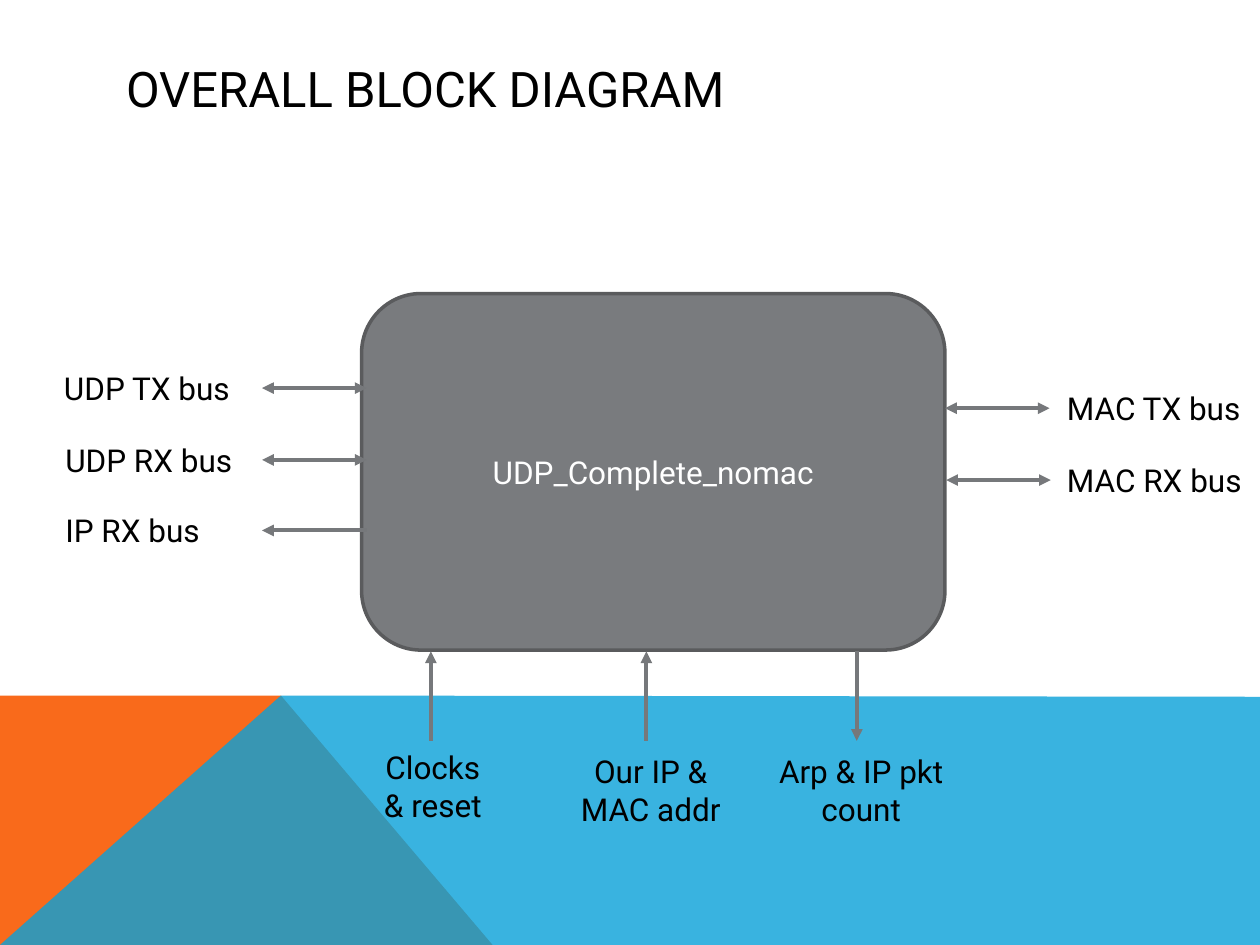
from lxml.etree import SubElement
from pptx import Presentation
from pptx.dml.color import RGBColor
from pptx.enum.shapes import MSO_CONNECTOR, MSO_SHAPE
from pptx.enum.text import MSO_ANCHOR, MSO_AUTO_SIZE, PP_ALIGN
from pptx.oxml.ns import qn
from pptx.util import Inches, Pt

BLACK = RGBColor(0x00, 0x00, 0x00)
WHITE = RGBColor(0xFF, 0xFF, 0xFF)
ORANGE = RGBColor(0xF9, 0x6A, 0x1B)
BLUE = RGBColor(0x08, 0xA1, 0xD9)
BLOCK_FILL = RGBColor(0x79, 0x7B, 0x7E)
BLOCK_LINE = RGBColor(0x5A, 0x5B, 0x5D)
ARROW_GRAY = RGBColor(0x76, 0x78, 0x7B)


class DiagramSlide:
    """Holds the text style and the slide being drawn."""

    font_name = "Roboto"
    font_size = 18

    def __init__(self, presentation):
        self.slide = presentation.slides.add_slide(presentation.slide_layouts[5])
        self.shapes = self.slide.shapes

    def set_text(self, shape, text, size=font_size, color=BLACK,
                 align=PP_ALIGN.LEFT, anchor=MSO_ANCHOR.TOP):
        frame = shape.text_frame
        frame.text = text
        frame_format = {"word_wrap": True, "vertical_anchor": anchor,
                        "auto_size": MSO_AUTO_SIZE.NONE}
        for name, value in frame_format.items():
            setattr(frame, name, value)
        paragraph = frame.paragraphs[0]
        paragraph.alignment = align
        font = paragraph.runs[0].font
        for name, value in {"name": self.font_name, "size": Pt(size)}.items():
            setattr(font, name, value)
        font.color.rgb = color

    def title(self, text, left, top, width, height):
        title = self.shapes.title
        position = {"left": left, "top": top, "width": width, "height": height}
        for name, value in position.items():
            setattr(title, name, Inches(value))
        self.set_text(title, text, size=28, anchor=MSO_ANCHOR.MIDDLE)

    def polygon(self, points, color, opacity=100):
        corners = [(Inches(x), Inches(y)) for x, y in points]
        builder = self.shapes.build_freeform(*corners[0])
        builder.add_line_segments(corners[1:], close=True)
        shape = builder.convert_to_shape()
        shape.shadow.inherit = False
        shape.fill.solid()
        shape.fill.fore_color.rgb = color
        shape.line.fill.background()
        if opacity < 100:
            color_element = shape._element.spPr.find(qn("a:solidFill"))[0]
            SubElement(color_element, qn("a:alpha"), val=str(opacity * 1000))

    def block(self, text, left, top, width, height):
        shape = self.shapes.add_shape(
            MSO_SHAPE.ROUNDED_RECTANGLE,
            Inches(left), Inches(top), Inches(width), Inches(height))
        shape.shadow.inherit = False
        shape.fill.solid()
        shape.fill.fore_color.rgb = BLOCK_FILL
        shape.line.color.rgb = BLOCK_LINE
        shape.line.width = Pt(2)
        self.set_text(shape, text, color=WHITE, align=PP_ALIGN.CENTER,
                      anchor=MSO_ANCHOR.MIDDLE)

    def label(self, text, left, top, width=1.67, height=0.4, align=PP_ALIGN.LEFT):
        box = self.shapes.add_textbox(
            Inches(left), Inches(top), Inches(width), Inches(height))
        self.set_text(box, text, align=align)

    def arrow(self, start, end, heads):
        """Draw a line with an arrowhead at each end named in heads."""
        connector = self.shapes.add_connector(
            MSO_CONNECTOR.STRAIGHT, *map(Inches, start + end))
        connector.line.color.rgb = ARROW_GRAY
        connector.line.width = Pt(2.25)
        properties = connector._element.spPr
        line_element = properties.find(qn("a:ln"))
        for head in heads:
            SubElement(line_element, qn(f"a:{head}"), type="triangle")
        SubElement(properties, qn("a:effectLst"))


START, END, BOTH = ("headEnd",), ("tailEnd",), ("headEnd", "tailEnd")


def main():
    presentation = Presentation()
    presentation.slide_width = Inches(10)
    presentation.slide_height = Inches(7.5)
    diagram = DiagramSlide(presentation)

    # Coloured band along the bottom
    peak = (2.23, 5.52)
    diagram.polygon([(0, 7.5), (0, 5.52), peak, (3.91, 7.5)], ORANGE)
    diagram.polygon([(0, 7.5), peak, (10, 5.53), (10, 7.5)], BLUE, opacity=80)

    diagram.title("OVERALL BLOCK DIAGRAM", 0.9, 0.4, 8.22, 0.6)

    # Central block
    diagram.block("UDP_Complete_nomac", 2.87, 2.33, 4.63, 2.83)

    # Buses on both sides: label, label left, arrow left, arrow height, heads
    buses = [
        ("UDP TX bus", 0.41, 2.08, 3.08, BOTH),
        ("UDP RX bus", 0.42, 2.08, 3.65, BOTH),
        ("IP RX bus", 0.42, 2.08, 4.21, START),
        ("MAC TX bus", 8.37, 7.5, 3.24, BOTH),
        ("MAC RX bus", 8.37, 7.51, 3.81, BOTH),
    ]
    for text, label_left, arrow_left, y, heads in buses:
        diagram.arrow((arrow_left, y), (arrow_left + 0.83, y), heads)
        diagram.label(text, label_left, y - 0.2)

    # Signals below: label, label left, top and width, arrow position, heads
    signals = [
        ("Clocks & reset", 2.87, 5.89, 1.13, 3.42, START),
        ("Our IP & MAC addr", 4.33, 5.92, 1.67, 5.13, START),
        ("Arp & IP pkt count", 6, 5.92, 1.67, 6.8, END),
    ]
    for text, left, top, width, x, heads in signals:
        diagram.arrow((x, 5.17), (x, 5.88), heads)
        diagram.label(text, left, top, width, 0.71, PP_ALIGN.CENTER)

    presentation.save("out.pptx")


if __name__ == "__main__":
    main()
